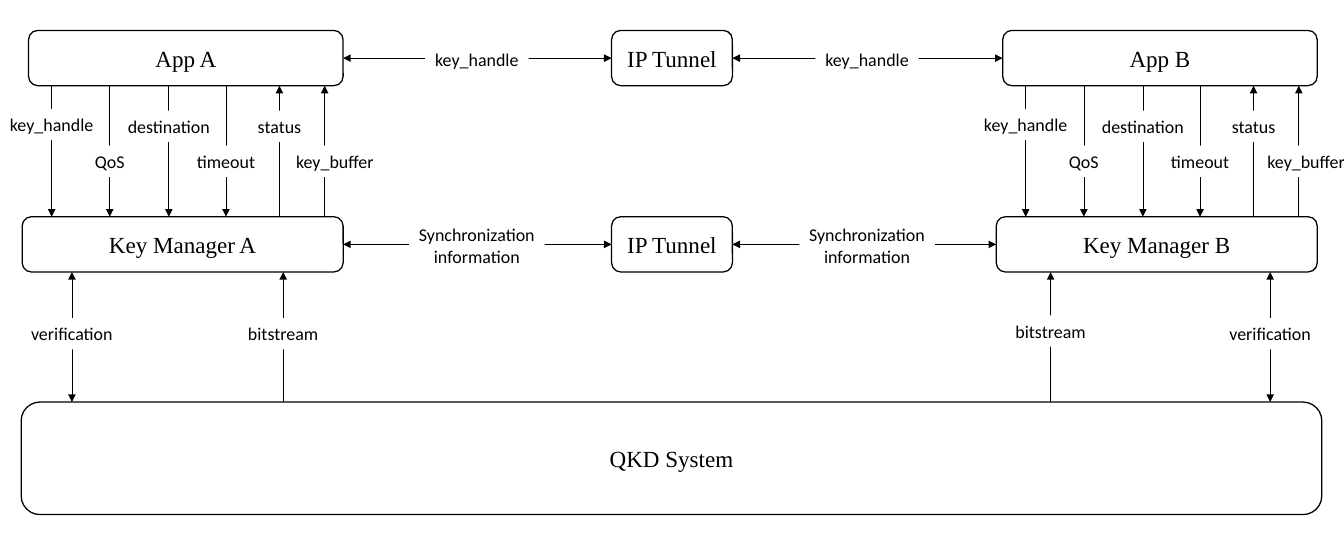
from lxml import etree
from pptx import Presentation
from pptx.dml.color import RGBColor
from pptx.enum.shapes import MSO_CONNECTOR, MSO_SHAPE
from pptx.enum.text import MSO_ANCHOR, MSO_AUTO_SIZE, PP_ALIGN
from pptx.oxml.ns import qn
from pptx.util import Inches, Pt

BLACK = RGBColor(0, 0, 0)
WHITE = RGBColor(255, 255, 255)
ROUNDED, RECTANGLE = MSO_SHAPE.ROUNDED_RECTANGLE, MSO_SHAPE.RECTANGLE
STRAIGHT = MSO_CONNECTOR.STRAIGHT
MIDDLE, CENTER = MSO_ANCHOR.MIDDLE, PP_ALIGN.CENTER
GROW = MSO_AUTO_SIZE.SHAPE_TO_FIT_TEXT

# Rows and columns of the diagram, in inches
APP_TOP, MANAGER_TOP, QKD_TOP = 0.33, 2.35, 4.36
BOX_HEIGHT, QKD_HEIGHT = 0.6, 1.22
APP_BOTTOM, MANAGER_BOTTOM = APP_TOP + BOX_HEIGHT, MANAGER_TOP + BOX_HEIGHT
APP_LEFT, MANAGER_LEFT, STATION_RIGHT = 0.31, 0.24, 3.72
TUNNEL_LEFT, TUNNEL_WIDTH = 6.63, 1.31
TUNNEL_RIGHT = TUNNEL_LEFT + TUNNEL_WIDTH
SITE_B = 10.56
UPPER_LABEL, LOWER_LABEL = 1.37, 1.75

presentation = Presentation()
presentation.slide_width = Inches(14.57)
presentation.slide_height = Inches(5.91)
slide = presentation.slides.add_slide(presentation.slide_layouts[6])


def add_block(text, left, top, width, height, is_label=False):
    """Add a rounded box, or a borderless label that masks its arrow."""
    shape = slide.shapes.add_shape(
        RECTANGLE if is_label else ROUNDED,
        Inches(left), Inches(top), Inches(width), Inches(height))
    shape.shadow.inherit = False
    shape.fill.solid()
    shape.fill.fore_color.rgb = WHITE
    frame = shape.text_frame
    frame.vertical_anchor = MIDDLE
    frame.word_wrap = not is_label
    if is_label:
        shape.line.fill.background()
        frame.auto_size = GROW
    else:
        shape.line.color.rgb = BLACK
        shape.line.width = Pt(1)
    for index, line in enumerate(text.split("\n")):
        paragraph = frame.add_paragraph() if index else frame.paragraphs[0]
        paragraph.alignment = CENTER
        run = paragraph.add_run()
        run.text = line
        run.font.name = "Calibri" if is_label else "Times New Roman"
        run.font.size = Pt(14 if is_label else 18)
        run.font.color.rgb = BLACK


def add_arrow(x1, y1, x2, y2, both_ways=False):
    """Add a thin arrow to (x2, y2), with a second head if it runs both ways."""
    connector = slide.shapes.add_connector(
        STRAIGHT, Inches(x1), Inches(y1), Inches(x2), Inches(y2))
    connector.line.color.rgb = BLACK
    connector.line.width = Pt(0.5)
    outline = connector.line._get_or_add_ln()
    for end in ["a:headEnd", "a:tailEnd"] if both_ways else ["a:tailEnd"]:
        etree.SubElement(outline, qn(end)).set("type", "triangle")
    etree.SubElement(connector._element.spPr, qn("a:effectLst"))


# Calls between application and key manager:
# text, arrow x, label centre y, label width, goes down
calls = [
    ("key_handle", 0.56, 1.35, 1.12, True),
    ("QoS", 1.19, LOWER_LABEL, 0.53, True),
    ("destination", 1.83, UPPER_LABEL, 1.11, True),
    ("timeout", 2.45, LOWER_LABEL, 0.84, True),
    ("status", 3.03, UPPER_LABEL, 0.68, False),
    ("key_buffer", 3.52, LOWER_LABEL, 1.12, False),
]

# QKD system across the whole width
add_block("QKD System", 0.23, QKD_TOP, 14.1, QKD_HEIGHT)

# Both sites: site, offset, verification x, bitstream x, bitstream label y,
# shift of the key_buffer label
sites = [
    ("A", 0, 0.78, 3.07, 3.62, 0.11),
    ("B", SITE_B, 13.77, 11.39, 3.59, 0.08),
]
for site, offset, verification_x, bitstream_x, bitstream_y, buffer_shift in sites:
    for name, left, top in [("App", APP_LEFT, APP_TOP),
                            ("Key Manager", MANAGER_LEFT, MANAGER_TOP)]:
        add_block(f"{name} {site}", offset + left, top,
                  STATION_RIGHT - left, BOX_HEIGHT)

    for text, column, label_y, width, goes_down in calls:
        x = offset + column
        start, end = APP_BOTTOM, MANAGER_TOP
        if not goes_down:
            start, end = end, start
        add_arrow(x, start, x, end)
        center = x + buffer_shift if text == "key_buffer" else x
        add_block(text, center - width / 2, label_y - 0.17, width, 0.34, True)

    # Links down to the QKD system
    for text, x, label_y, width, both_ways in [
            ("verification", verification_x, 3.62, 1.1, True),
            ("bitstream", bitstream_x, bitstream_y, 0.97, False)]:
        add_arrow(x, QKD_TOP, x, MANAGER_BOTTOM, both_ways)
        add_block(text, x - width / 2, label_y - 0.17, width, 0.34, True)

# Tunnels between the sites: text, top, left edge at site B, label size
tunnels = [
    ("key_handle", APP_TOP, SITE_B + APP_LEFT, 1.12, 0.34),
    ("Synchronization\ninformation", MANAGER_TOP, SITE_B + MANAGER_LEFT, 1.47, 0.57),
]
for text, top, site_b_left, width, height in tunnels:
    y = top + BOX_HEIGHT / 2
    add_block("IP Tunnel", TUNNEL_LEFT, top, TUNNEL_WIDTH, BOX_HEIGHT)
    for start, end, center in [(STATION_RIGHT, TUNNEL_LEFT, 5.17),
                               (TUNNEL_RIGHT, site_b_left, 9.4)]:
        add_arrow(start, y, end, y, both_ways=True)
        add_block(text, center - width / 2, y - height / 2 + 0.01, width, height, True)

presentation.save("out.pptx")
